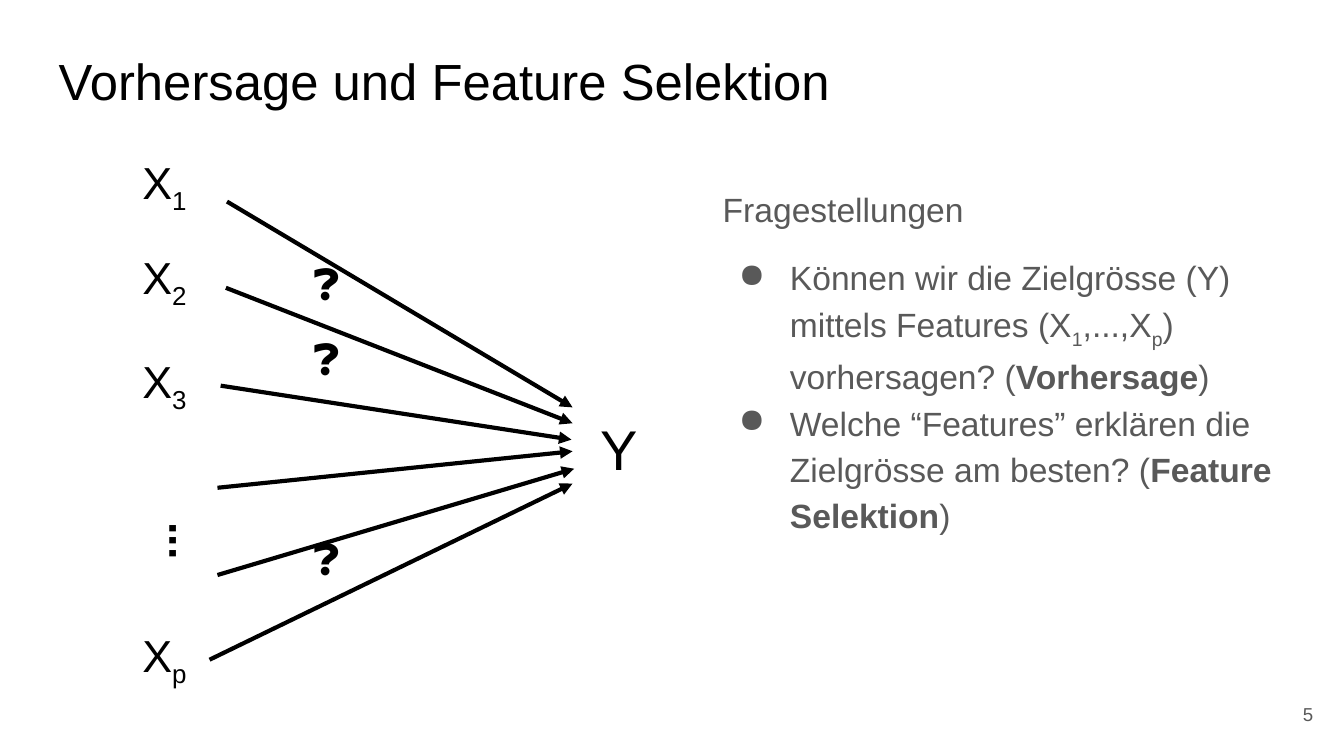
from dataclasses import dataclass

from lxml import etree
from pptx import Presentation
from pptx.dml.color import RGBColor
from pptx.enum.shapes import MSO_CONNECTOR
from pptx.enum.text import MSO_ANCHOR, PP_ALIGN
from pptx.oxml.ns import qn
from pptx.util import Cm, Pt

STRAIGHT = MSO_CONNECTOR.STRAIGHT
MIDDLE, TOP = MSO_ANCHOR.MIDDLE, MSO_ANCHOR.TOP
LEFT, RIGHT = PP_ALIGN.LEFT, PP_ALIGN.RIGHT
BLACK = RGBColor(0x00, 0x00, 0x00)
GREY = RGBColor(0x59, 0x59, 0x59)
FONT = "Arial"
INSET = Cm(0.25)


@dataclass(frozen=True)
class Piece:
    text: str
    bold: bool = False
    subscript: bool = False


@dataclass(frozen=True)
class Line:
    pieces: tuple[Piece, ...]
    spacing: float = 1.0
    before: float = 0
    bullet: bool = False


@dataclass(frozen=True)
class Label:
    left: float
    top: float
    width: float
    height: float
    size: float
    lines: tuple[Line, ...]
    color: RGBColor = BLACK
    align: PP_ALIGN = LEFT
    anchor: MSO_ANCHOR = TOP
    wrap: bool = True
    rotation: float = 0


@dataclass(frozen=True)
class Arrow:
    start: tuple[float, float]
    end: tuple[float, float]


def plain(text: str, bold: bool = False, spacing: float = 1.0) -> tuple[Line, ...]:
    return (Line((Piece(text, bold),), spacing),)


def add_bullet(paragraph, color: RGBColor) -> None:
    properties = paragraph._p.get_or_add_pPr()
    properties.set("marL", str(Cm(1.27)))
    properties.set("indent", str(Cm(-0.97)))
    bullet_color = etree.SubElement(properties, qn("a:buClr"))
    etree.SubElement(bullet_color, qn("a:srgbClr"), val=str(color))
    etree.SubElement(properties, qn("a:buChar"), char="●")


def draw_label(slide, label: Label) -> None:
    box = slide.shapes.add_textbox(
        Cm(label.left), Cm(label.top), Cm(label.width), Cm(label.height)
    )
    box.rotation = label.rotation
    frame = box.text_frame
    frame.word_wrap = label.wrap
    frame.vertical_anchor = label.anchor
    frame.margin_left = frame.margin_right = INSET
    frame.margin_top = frame.margin_bottom = INSET
    for index, line in enumerate(label.lines):
        paragraph = frame.add_paragraph() if index else frame.paragraphs[0]
        if line.bullet:
            add_bullet(paragraph, label.color)
        paragraph.alignment = label.align
        paragraph.line_spacing = line.spacing
        paragraph.space_before = Pt(line.before)
        for piece in line.pieces:
            run = paragraph.add_run()
            run.text = piece.text
            run.font.name = FONT
            run.font.size = Pt(label.size)
            run.font.bold = piece.bold
            run.font.color.rgb = label.color
            if piece.subscript:
                run._r.get_or_add_rPr().set("baseline", "-25000")


def draw_arrow(slide, arrow: Arrow) -> None:
    connector = slide.shapes.add_connector(
        STRAIGHT, *map(Cm, arrow.start), *map(Cm, arrow.end)
    )
    connector.line.color.rgb = BLACK
    connector.line.width = Pt(2.25)
    etree.SubElement(connector.line._get_or_add_ln(), qn("a:tailEnd"), type="triangle")
    etree.SubElement(connector._element.spPr, qn("a:effectLst"))


FEATURES = (("1", 2.67), ("2", 4.47), ("3", 6.43), ("p", 11.61))
QUESTION_TOPS = (4.17, 5.59, 9.37)
ARROWS = (
    Arrow((4.29, 3.81), (10.82, 7.7)),
    Arrow((4.27, 5.44), (10.82, 8.0)),
    Arrow((4.17, 7.29), (10.8, 8.31)),
    Arrow((4.11, 9.22), (10.82, 8.53)),
    Arrow((4.11, 10.87), (10.85, 8.86)),
    Arrow((3.96, 12.47), (10.82, 9.14)),
)
RESEARCH_QUESTIONS = (
    Line((Piece("Fragestellungen"),), 1.15),
    Line(
        (
            Piece("Können wir die Zielgrösse (Y) mittels Features (X"),
            Piece("1", subscript=True),
            Piece(",...,X"),
            Piece("p", subscript=True),
            Piece(") vorhersagen? ("),
            Piece("Vorhersage", bold=True),
            Piece(")"),
        ),
        1.15,
        before=12,
        bullet=True,
    ),
    Line(
        (
            Piece("Welche “Features” erklären die Zielgrösse am besten? ("),
            Piece("Feature Selektion", bold=True),
            Piece(")"),
        ),
        1.15,
        bullet=True,
    ),
)
LABELS = (
    Label(0.86, 0.69, 23.67, 1.6, 27.2, plain("Vorhersage und Feature Selektion")),
    *(
        Label(2.44, top, 3, 1.55, 24, (Line((Piece("X"), Piece(name, subscript=True))),))
        for name, top in FEATURES
    ),
    Label(1.73, 10.64, 3.58, 1.55, 24, plain("...", bold=True), rotation=90),
    Label(11.1, 7.59, 1.6, 1.8, 30, plain("Y")),
    *(
        Label(5.66, top, 1.07, 1.42, 21, plain("❓", spacing=1.5), wrap=False)
        for top in QUESTION_TOPS
    ),
    Label(23.55, 12.95, 1.52, 1.09, 10, plain("5"), GREY, RIGHT, MIDDLE),
    Label(13.41, 3.2, 11.1, 9.5, 18, RESEARCH_QUESTIONS, GREY),
)


def main() -> None:
    presentation = Presentation()
    presentation.slide_width = Cm(25.4)
    presentation.slide_height = Cm(14.29)
    slide = presentation.slides.add_slide(presentation.slide_layouts[6])
    for arrow in ARROWS:
        draw_arrow(slide, arrow)
    for label in LABELS:
        draw_label(slide, label)
    presentation.save("out.pptx")


if __name__ == "__main__":
    main()
